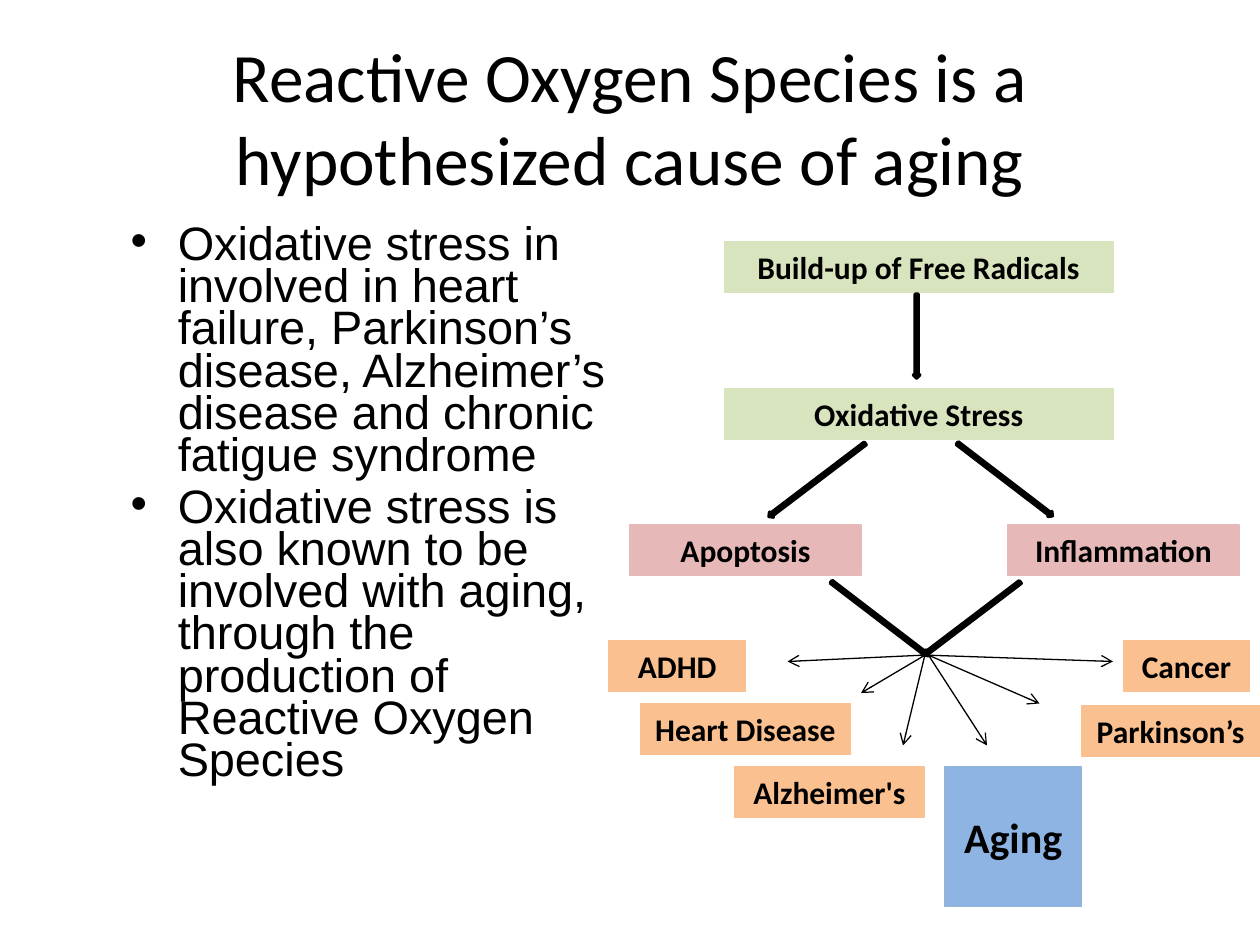
from lxml import etree
from pptx import Presentation
from pptx.dml.color import RGBColor
from pptx.enum.shapes import MSO_CONNECTOR, MSO_SHAPE
from pptx.enum.text import MSO_ANCHOR, PP_ALIGN
from pptx.oxml.ns import qn
from pptx.util import Pt

RECT, DOWN_ARROW = MSO_SHAPE.RECTANGLE, MSO_SHAPE.DOWN_ARROW
STRAIGHT = MSO_CONNECTOR.STRAIGHT
CENTER, LEFT = PP_ALIGN.CENTER, PP_ALIGN.LEFT
MIDDLE = MSO_ANCHOR.MIDDLE
COLORS = {
    "black": "000000",
    "green": "D7E4BD",
    "pink": "E6B9B8",
    "orange": "FAC090",
    "blue": "8EB4E3",
    "blue_line": "95B3D7",
}


def add_filled(shape_type, x, y, w, h, fill, line, line_width):
    sp = s.shapes.add_shape(shape_type, Pt(x), Pt(y), Pt(w), Pt(h))
    sp.shadow.inherit = False
    sp.fill.solid()
    sp.fill.fore_color.rgb = RGBColor.from_string(COLORS[fill])
    sp.line.color.rgb = RGBColor.from_string(COLORS[line])
    sp.line.width = Pt(line_width)
    return sp


def style_text(p, align, font, size, bold=False):
    p.alignment = align
    for r in p.runs:
        r.font.name = font
        r.font.size = Pt(size)
        r.font.bold = bold
        r.font.color.rgb = RGBColor.from_string(COLORS["black"])


prs = Presentation()
prs.slide_width, prs.slide_height = Pt(720), Pt(540)
s = prs.slides.add_slide(prs.slide_layouts[6])

title = s.shapes.add_textbox(Pt(36), Pt(21.6), Pt(648), Pt(90))
tf = title.text_frame
tf.word_wrap = True
tf.vertical_anchor = MIDDLE
tf.text = "Reactive Oxygen Species is a hypothesized cause of aging"
style_text(tf.paragraphs[0], CENTER, "Calibri", 39.6)

body = s.shapes.add_textbox(Pt(36), Pt(126), Pt(318.24), Pt(356.4))
tf = body.text_frame
tf.word_wrap = True
tf.text = "\n".join([
    "Oxidative stress in involved in heart failure, Parkinson’s disease, "
    "Alzheimer’s disease and chronic fatigue syndrome",
    "Oxidative stress is also known to be involved with aging, "
    "through the production of Reactive Oxygen Species",
])
for p in tf.paragraphs:
    style_text(p, LEFT, "Arial", 26.8)
    p.line_spacing = 0.75
    p.space_before = Pt(5.4)
    pPr = p._p.get_or_add_pPr()
    pPr.set("marL", str(Pt(58.5)))
    pPr.set("indent", str(Pt(-27)))
    etree.SubElement(pPr, qn("a:buFont")).set("typeface", "Arial")
    etree.SubElement(pPr, qn("a:buChar")).set("char", "•")

boxes = [
    ("Build-up of Free Radicals", 414, 138, 222, 29, "green", "green", 18),
    ("Oxidative Stress", 414, 222, 222, 29, "green", "green", 18),
    ("Inflammation", 576, 300, 132, 29, "pink", "pink", 18),
    ("Apoptosis", 360, 300, 132, 29, "pink", "pink", 18),
    ("Alzheimer's", 420, 438, 108, 29, "orange", "orange", 18),
    ("Cancer", 642, 366, 72, 29, "orange", "orange", 18),
    ("Parkinson’s", 618, 403, 102, 29, "orange", "orange", 18),
    ("Heart Disease", 366, 402, 120, 29, "orange", "orange", 18),
    ("Aging", 540, 438, 78, 80, "blue", "blue_line", 24),
    ("ADHD", 348, 366, 78, 29, "orange", "orange", 18),
]
for text, x, y, w, h, fill, line, size in boxes:
    sp = add_filled(RECT, x, y, w, h, fill, line, 0.75)
    tf = sp.text_frame
    tf.word_wrap = False
    tf.vertical_anchor = MIDDLE
    tf.text = text
    style_text(tf.paragraphs[0], CENTER, "Calibri", size, True)

thick_arrows = [
    (522, 168, 48, 0),
    (500.4, 319, 68.4, 307.4),
    (553.7, 319, 69, 52.8),
    (572.4, 239.8, 68.4, 307.4),
    (465.1, 239.8, 69, 52.8),
]
for x, y, length, rotation in thick_arrows:
    sp = add_filled(DOWN_ARROW, x, y, 3.6, length, "black", "black", 2)
    sp.rotation = rotation

outcome_lines = [
    (530.6, 564, 426),
    (530.6, 594, 402),
    (530.6, 636, 378),
    (527, 450, 378),
    (528.5, 516, 426),
    (528.5, 492, 396),
]
for start_x, end_x, end_y in outcome_lines:
    c = s.shapes.add_connector(STRAIGHT, Pt(start_x), Pt(374.4), Pt(end_x), Pt(end_y))
    c.line.color.rgb = RGBColor.from_string(COLORS["black"])
    c.line.width = Pt(0.75)
    etree.SubElement(c.line._get_or_add_ln(), qn("a:tailEnd")).set("type", "arrow")
    etree.SubElement(c._element.spPr, qn("a:effectLst"))

prs.save("out.pptx")
